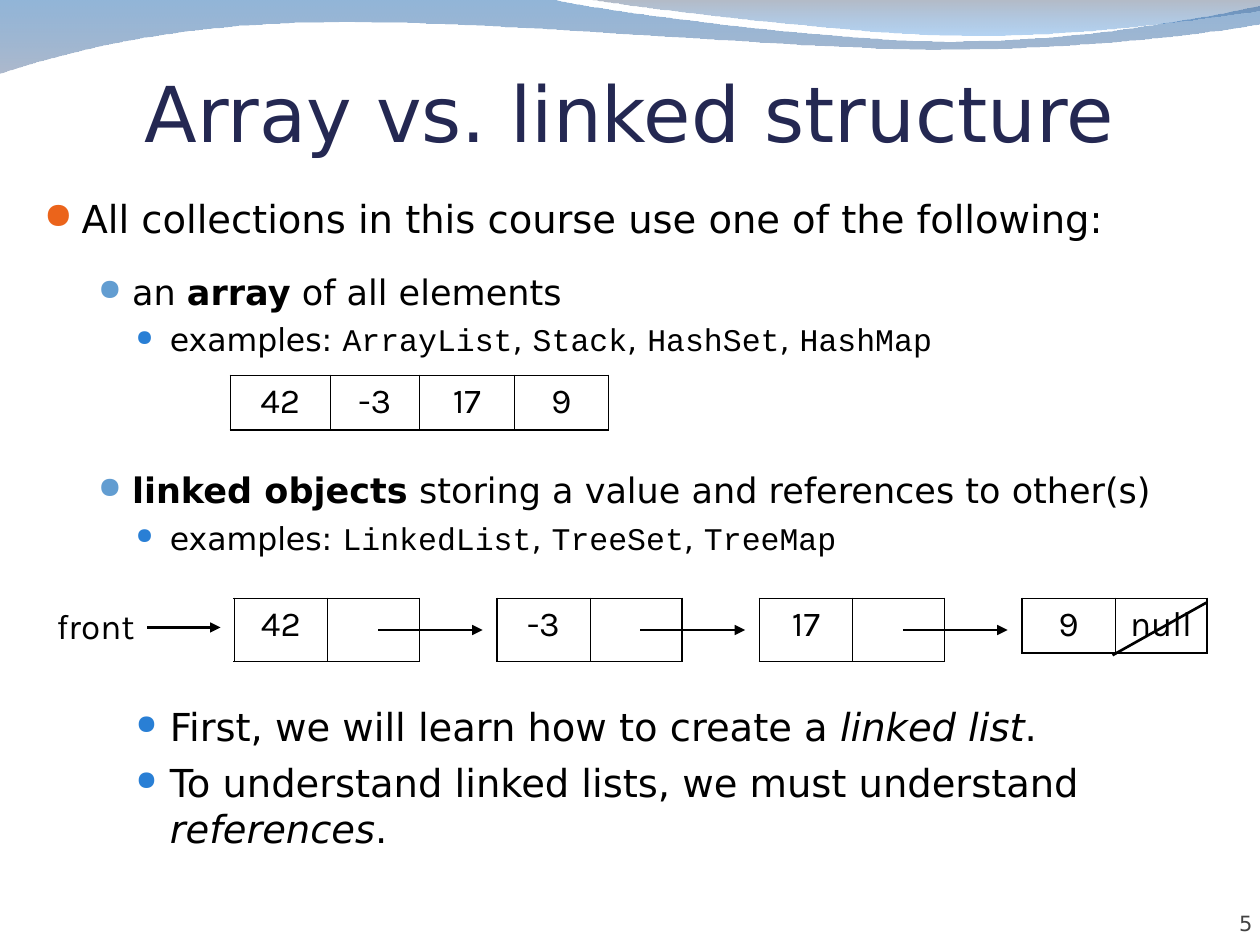
from lxml import etree
from pptx import Presentation
from pptx.dml.color import RGBColor
from pptx.enum import shapes, text
from pptx.oxml import ns, parse_xml
from pptx.util import Inches, Pt

BLACK = RGBColor(0x00, 0x00, 0x00)
NAVY = RGBColor(0x24, 0x28, 0x52)
GRAY = RGBColor(0x42, 0x42, 0x42)
ORANGE = RGBColor(0xEB, 0x64, 0x1B)
LIGHT_BLUE = RGBColor(0x62, 0x9D, 0xD1)
BLUE = RGBColor(0x29, 0x7F, 0xD5)
SANS, MONO, KARLA, SYMBOL = "DejaVu Sans", "Courier New", "Karla", "OpenSymbol"

# Content
TITLE = "Array vs. linked structure"
SLIDE_NUMBER = "5"
# Level: left margin, hanging indent, bullet colour, bullet size in percent
LEVELS = [(0.3, 0.3, ORANGE, 95), (0.7, 0.27, LIGHT_BLUE, 85), (1, 0.27, BLUE, 70)]
# Level, size, space before, runs as (text, style)
BODY = [
    (0, 22, 0, [("All collections in this course use one of the following:", "")]),
    (1, 20, 16.5, [("an ", ""), ("array", "bold"), (" of all elements", "")]),
    (2, 18, 4.5, [("examples: ", ""), ("ArrayList", "code"), (", ", ""), ("Stack", "code"),
                  (", ", ""), ("HashSet", "code"), (", ", ""), ("HashMap", "code")]),
    (1, 20, 63.3, [("linked objects", "bold"),
                   (" storing a value and references to other(s)", "")]),
    (2, 18, 4.5, [("examples: ", ""), ("LinkedList", "code"), (", ", ""),
                  ("TreeSet", "code"), (", ", ""), ("TreeMap", "code")]),
    (2, 22, 84, [("First, we will learn how to create a ", ""),
                 ("linked list", "italic"), (".", "")]),
    (2, 22, 5.5, [("To understand linked lists, we must understand ", ""),
                  ("references", "italic"), (".", "")]),
]
ARRAY_VALUES = ["42", "-3", "17", "9"]
ARRAY_WIDTHS = [0.79, 0.71, 0.75, 0.75]
NODES = [("42", ""), ("-3", ""), ("17", ""), ("9", "null")]
NODE_WIDTHS = [0.74, 0.73]
NODE_LEFT, NODE_TOP, NODE_STEP = 1.86, 4.75, 6.25 / 3

# Header waves: start point, steps (2 numbers a line, 6 a curve), stops (colour, opacity)
WAVES = [
    ((0, 0),
     [(4.4, 0), (4.76, 0.09, 6.64, 0.33, 7.58, 0.33), (8.53, 0.33, 9.58, 0.14, 10, 0.05),
      (10.01, 0.19), (9.83, 0.23, 8.7, 0.39, 7.46, 0.39),
      (6.22, 0.39, 3.82, 0.15, 2.57, 0.18), (1.29, 0.19, 0.46, 0.43, -0.01, 0.58)],
     [("0E5CA9", 45), ("687FA3", 55)]),
    ((4.67, 0),
     [(4.98, 0.05, 6.74, 0.27, 7.63, 0.28), (8.52, 0.3, 9.61, 0.14, 10, 0.09), (10, 0)],
     [("576680", 45), ("046FDA", 30)]),
]


def add_wave(slide, start, steps, stops):
    builder = slide.shapes.build_freeform(*map(Inches, start), scale=1)
    builder.add_line_segments(
        [tuple(map(Inches, step[i:i + 2])) for step in steps for i in range(0, len(step), 2)],
        close=True)
    shape = builder.convert_to_shape()
    shape.shadow.inherit = False
    shape.line.fill.background()
    shape.fill.background()
    properties = shape._element.spPr
    # Join the three points of each curve into one Bezier segment
    segments = iter(list(properties.iter(ns.qn("a:lnTo"))))
    for step in steps:
        parts = [next(segments) for _ in range(len(step) // 2)]
        if len(parts) == 3:
            curve = etree.Element(ns.qn("a:cubicBezTo"))
            parts[0].addprevious(curve)
            for part in parts:
                curve.append(part[0])
                part.getparent().remove(part)
    stop_xml = "".join(
        f'<a:gs pos="{i * 100000}"><a:srgbClr val="{colour}">'
        f'<a:alpha val="{opacity * 1000}"/></a:srgbClr></a:gs>'
        for i, (colour, opacity) in enumerate(stops))
    properties.replace(properties.find(ns.qn("a:noFill")), parse_xml(
        f'<a:gradFill {ns.nsdecls("a")}><a:gsLst>{stop_xml}</a:gsLst>'
        '<a:lin ang="5400000" scaled="0"/></a:gradFill>'))


def style(font, size, name, colour):
    font.size, font.name = Pt(size), name
    font.color.rgb = colour


def add_text(slide, box, margins, anchor=text.MSO_ANCHOR.TOP, wrap=True):
    frame = slide.shapes.add_textbox(*map(Inches, box)).text_frame
    frame.word_wrap = wrap
    frame.vertical_anchor = anchor
    (frame.margin_left, frame.margin_top,
     frame.margin_right, frame.margin_bottom) = map(Inches, margins)
    return frame


def add_label(frame, label, size, name, colour, alignment):
    paragraph = frame.paragraphs[0]
    paragraph.text = label
    paragraph.alignment = alignment
    for run in paragraph.runs:
        style(run.font, size, name, colour)


def add_bullet(paragraph, level):
    margin, hanging, colour, size = LEVELS[level]
    properties = paragraph._p.get_or_add_pPr()
    properties.set("marL", str(Inches(margin)))
    properties.set("indent", str(-Inches(hanging)))
    bullet_colour = etree.SubElement(properties, ns.qn("a:buClr"))
    etree.SubElement(bullet_colour, ns.qn("a:srgbClr"), val=str(colour))
    etree.SubElement(properties, ns.qn("a:buSzPct"), val=str(size * 1000))
    etree.SubElement(properties, ns.qn("a:buFont"), typeface=SYMBOL)
    etree.SubElement(properties, ns.qn("a:buChar"), char="●")


def add_cells(slide, left, top, height, widths, labels):
    """One row of boxes, with a heavy outline and thin dividers."""
    box = map(Inches, (left, top, sum(widths), height))
    table = slide.shapes.add_table(1, len(labels), *box).table
    table.first_row = table.horz_banding = False
    last = len(labels) - 1
    for i, (width, label) in enumerate(zip(widths, labels)):
        table.columns[i].width = Inches(width)
        cell = table.cell(0, i)
        cell.fill.background()
        if label:
            add_label(cell.text_frame, label, 20, KARLA, BLACK, text.PP_ALIGN.CENTER)
        borders = [("L", i == 0), ("R", i == last), ("T", True), ("B", True)]
        for position, (side, heavy) in enumerate(borders):
            weight = Pt(1.08 if heavy else 0.45)
            cell._tc.tcPr.insert(position, parse_xml(
                f'<a:ln{side} {ns.nsdecls("a")} w="{weight}"><a:solidFill>'
                f'<a:srgbClr val="{BLACK}"/></a:solidFill></a:ln{side}>'))


def add_line(slide, start, end, arrow=True):
    line = slide.shapes.add_connector(shapes.MSO_CONNECTOR.STRAIGHT,
                                      *map(Inches, start + end))
    line.line.color.rgb = BLACK
    line.line.width = Pt(1.5)
    if arrow:
        etree.SubElement(line.line._get_or_add_ln(), ns.qn("a:tailEnd"), type="triangle")
    etree.SubElement(line._element.spPr, ns.qn("a:effectLst"))


def main():
    presentation = Presentation()
    presentation.slide_width, presentation.slide_height = Inches(10), Inches(7.5)
    slide = presentation.slides.add_slide(presentation.slide_layouts[6])

    for wave in WAVES:
        add_wave(slide, *wave)

    # Slide number and title
    frame = add_text(slide, (9.11, 7.03, 0.83, 0.4), (0, 0, 0, 0), text.MSO_ANCHOR.BOTTOM)
    add_label(frame, SLIDE_NUMBER, 12, SANS, GRAY, text.PP_ALIGN.RIGHT)
    frame = add_text(slide, (0.5, 0.48, 9, 0.77), (0, 0.05, 0, 0), text.MSO_ANCHOR.BOTTOM)
    add_label(frame, TITLE, 44, SANS, NAVY, text.PP_ALIGN.CENTER)

    # Bulleted body
    frame = add_text(slide, (0.25, 1.5, 9.75, 5.67), (0.1, 0.05, 0.1, 0.05))
    for i, (level, size, space, runs) in enumerate(BODY):
        paragraph = frame.add_paragraph() if i else frame.paragraphs[0]
        paragraph.level = level
        if i:
            paragraph.space_before = Pt(space)
        add_bullet(paragraph, level)
        for words, look in runs:
            run = paragraph.add_run()
            run.text = words
            style(run.font, size, MONO if look == "code" else SANS, BLACK)
            run.font.bold = look == "bold"
            run.font.italic = look == "italic"

    # Array
    add_cells(slide, 1.83, 2.98, 0.43, ARRAY_WIDTHS, ARRAY_VALUES)

    # Linked nodes; those that point onward are taller
    frame = add_text(slide, (0.35, 4.75, 0.85, 0.44), (0.1, 0.05, 0.1, 0.05), wrap=False)
    add_label(frame, "front", 20, KARLA, BLACK, text.PP_ALIGN.LEFT)
    for i, labels in enumerate(NODES):
        height = 0.43 if labels[1] else 0.5
        add_cells(slide, NODE_LEFT + i * NODE_STEP, NODE_TOP, height, NODE_WIDTHS, labels)

    # Arrows between nodes, slash through null
    for i in range(len(NODES) - 1):
        left = 3 + i * NODE_STEP
        add_line(slide, (left, 5), (left + 0.83, 5))
    add_line(slide, (9.58, 4.78), (8.83, 5.2), arrow=False)
    add_line(slide, (1.17, 4.98), (1.75, 4.98))

    presentation.save("out.pptx")


if __name__ == "__main__":
    main()
